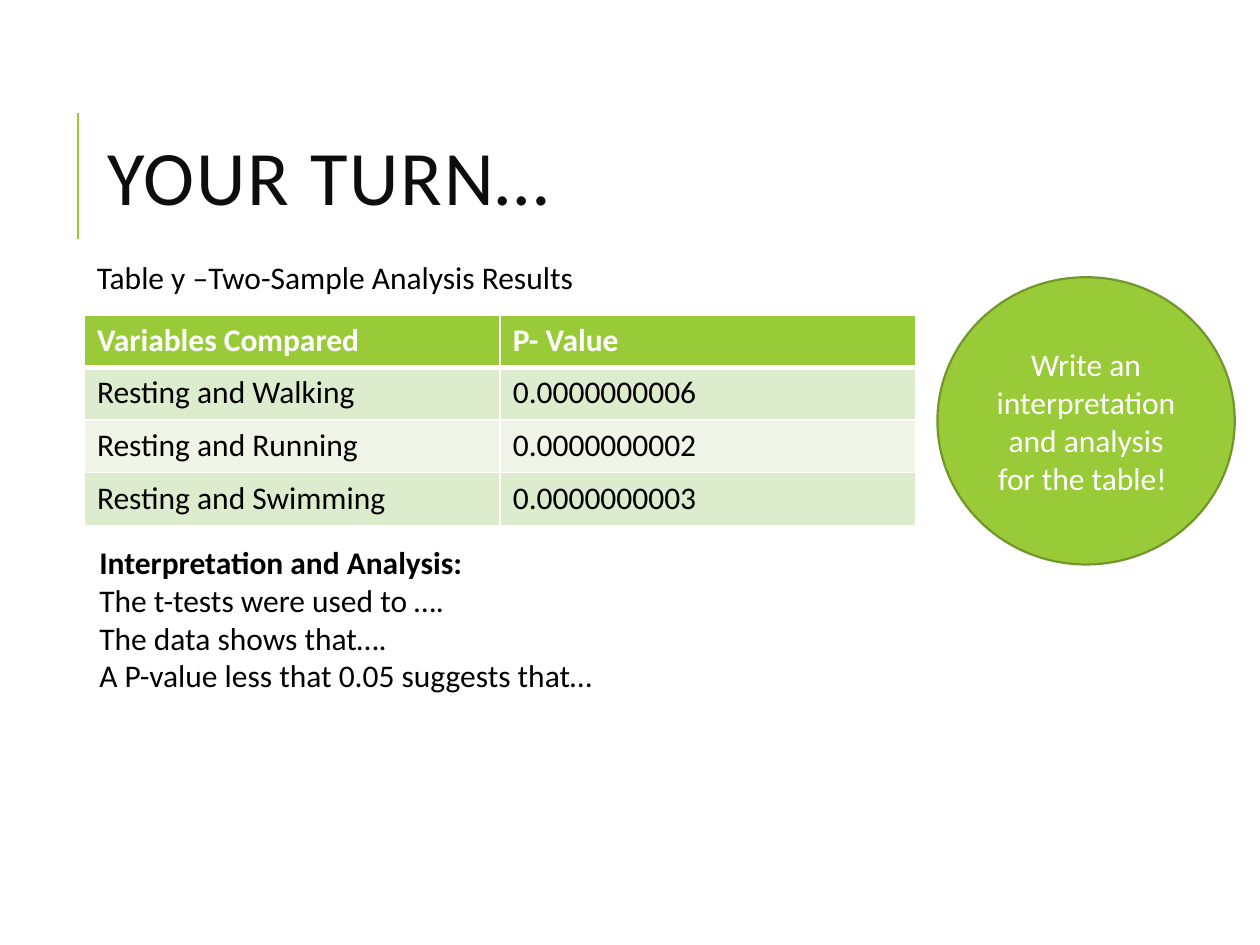
"""Build the "Your turn" slide: a p-value table with prompts for its interpretation."""
from dataclasses import dataclass

from pptx import Presentation
from pptx.dml.color import RGBColor
from pptx.enum import shapes, text
from pptx.oxml import parse_xml
from pptx.oxml.ns import nsdecls
from pptx.util import Inches, Pt


@dataclass(frozen=True)
class Theme:
    font: str = "Calibri"
    title_size: int = 44
    body_size: int = 18
    green: str = "99CB38"
    dark_green: str = "719629"
    bands: tuple = ("DEECCE", "EFF6E8")
    white: str = "FFFFFF"
    black: str = "000000"
    title_ink: str = "0D0D0D"


theme = Theme()


def style(paragraph, color, size=theme.body_size, bold=False):
    for run in paragraph.runs:
        run.font.name = theme.font
        run.font.size = Pt(size)
        run.font.bold = bold
        run.font.color.rgb = RGBColor.from_string(color)


def add_border(cell, side, points):
    cell._tc.get_or_add_tcPr().append(parse_xml(
        f'<a:ln{side} {nsdecls("a")} w="{Pt(points)}"><a:solidFill>'
        f'<a:srgbClr val="{theme.white}"/></a:solidFill></a:ln{side}>'))


prs = Presentation()
prs.slide_width, prs.slide_height = Inches(10), Inches(7.5)
slide = prs.slides.add_slide(prs.slide_layouts[5])

accent = slide.shapes.add_connector(
    shapes.MSO_CONNECTOR.STRAIGHT, Inches(0.62), Inches(1.9), Inches(0.62), Inches(0.9))
accent.line.color.rgb = RGBColor.from_string(theme.green)
accent.line.width = Pt(1.5)
accent._element.spPr.append(parse_xml(f'<a:effectLst {nsdecls("a")}/>'))

results = [
    ("Variables Compared", "P- Value"),
    ("Resting and Walking", "0.0000000006"),
    ("Resting and Running", "0.0000000002"),
    ("Resting and Swimming", "0.0000000003"),
]
table = slide.shapes.add_table(
    len(results), 2, Inches(0.67), Inches(2.5), Inches(6.6), Inches(1.67)).table
for r, row in enumerate(results):
    for c, value in enumerate(row):
        cell = table.cell(r, c)
        cell.text_frame.text = value
        style(cell.text_frame.paragraphs[0], theme.black if r else theme.white, bold=r == 0)
        for side, points in (("L", 1), ("R", 1), ("T", 3 if r == 1 else 1), ("B", 1 if r else 3)):
            add_border(cell, side, points)
        cell.fill.solid()
        cell.fill.fore_color.rgb = RGBColor.from_string(
            theme.bands[(r - 1) % 2] if r else theme.green)

title = slide.shapes.title
title.left, title.top, title.width, title.height = (
    Inches(0.75), Inches(1.11), Inches(7.97), Inches(0.69))
title.text_frame.text = "YOUR TURN…"
title.text_frame.auto_size = text.MSO_AUTO_SIZE.NONE
title.text_frame.vertical_anchor = text.MSO_ANCHOR.MIDDLE
heading = title.text_frame.paragraphs[0]
heading.alignment = text.PP_ALIGN.LEFT
heading.line_spacing = 0.8
style(heading, theme.title_ink, theme.title_size)
heading.runs[0].font._element.set("spc", "100")

interpretation = slide.shapes.add_textbox(
    Inches(0.69), Inches(4.26), Inches(5), Inches(1.31)).text_frame
interpretation.word_wrap = True
interpretation.auto_size = text.MSO_AUTO_SIZE.SHAPE_TO_FIT_TEXT
interpretation.text = "\n".join([
    "Interpretation and Analysis:",
    "The t-tests were used to ….",
    "The data shows that….",
    "A P-value less that 0.05 suggests that…",
])
for i, prompt in enumerate(interpretation.paragraphs):
    style(prompt, theme.black, bold=i == 0)

task = slide.shapes.add_shape(
    shapes.MSO_SHAPE.OVAL, Inches(7.44), Inches(2.2), Inches(2.36), Inches(2.28))
task.shadow.inherit = False
task.fill.solid()
task.fill.fore_color.rgb = RGBColor.from_string(theme.green)
task.line.color.rgb = RGBColor.from_string(theme.dark_green)
task.line.width = Pt(1.25)
task.text_frame.text = "Write an interpretation and analysis for the table! "
task.text_frame.word_wrap = True
task.text_frame.vertical_anchor = text.MSO_ANCHOR.MIDDLE
task.text_frame.paragraphs[0].alignment = text.PP_ALIGN.CENTER
style(task.text_frame.paragraphs[0], theme.white)

caption = slide.shapes.add_textbox(
    Inches(0.67), Inches(2), Inches(4.04), Inches(0.4)).text_frame
caption.word_wrap = False
caption.auto_size = text.MSO_AUTO_SIZE.SHAPE_TO_FIT_TEXT
caption.text = "Table y –Two-Sample Analysis Results"
style(caption.paragraphs[0], theme.black)

prs.save("out.pptx")
